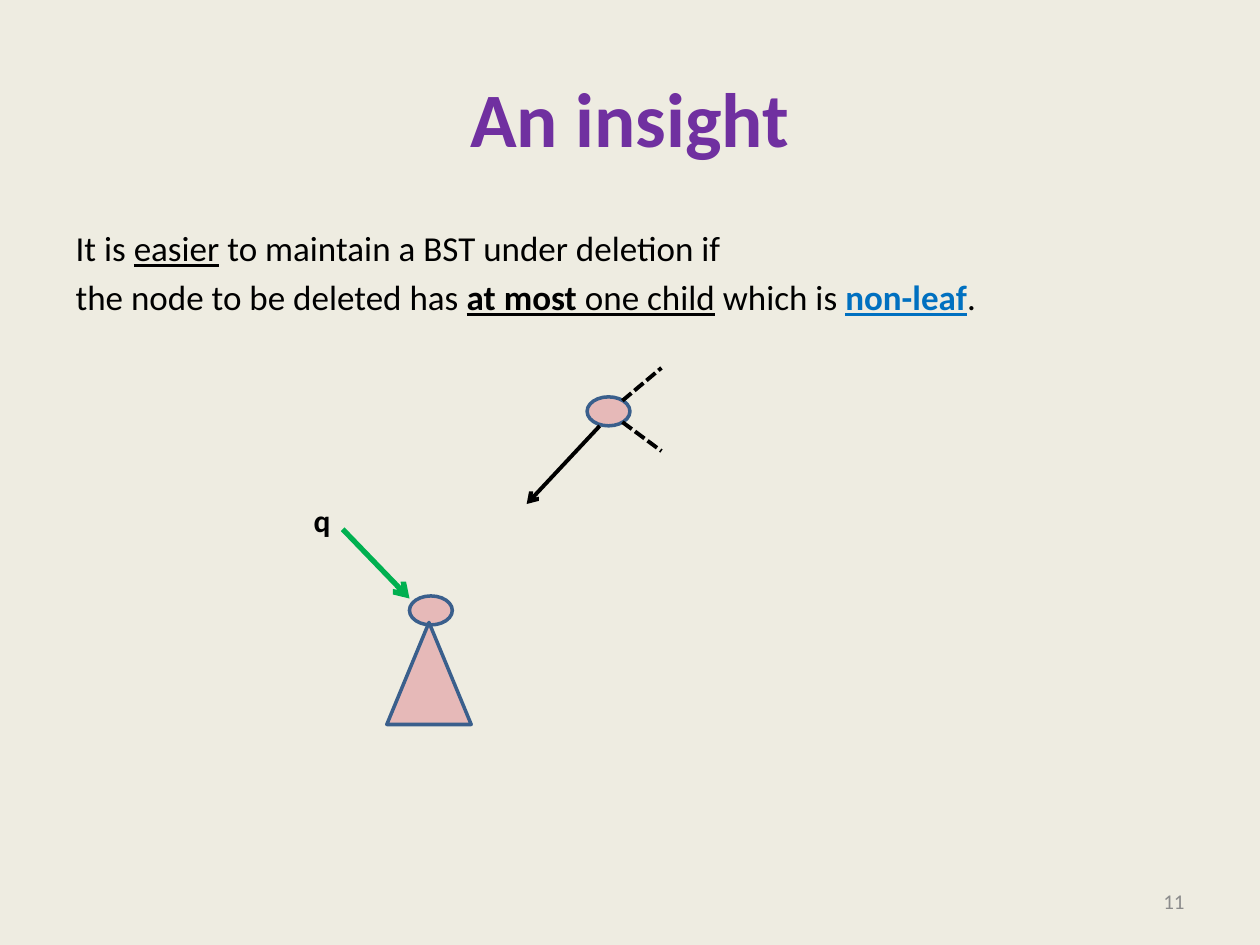
import pptx
import pptx.util
import pptx.dml.color
import pptx.enum.dml
import pptx.enum.shapes
import pptx.enum.text
import pptx.oxml.ns
from lxml import etree

Inches = pptx.util.Inches
Pt = pptx.util.Pt
Color = pptx.dml.color.RGBColor
Shape = pptx.enum.shapes.MSO_SHAPE
Align = pptx.enum.text.PP_ALIGN
Anchor = pptx.enum.text.MSO_ANCHOR

CREAM = Color(0xEE, 0xEC, 0xE1)
PURPLE = Color(0x70, 0x30, 0xA0)
BLACK = Color(0, 0, 0)
BLUE = Color(0x00, 0x70, 0xC0)
GRAY = Color(0x8C, 0x8C, 0x8C)
PINK = Color(0xE6, 0xB9, 0xB8)
NAVY = Color(0x3A, 0x5F, 0x8C)
GREEN = Color(0x00, 0xB0, 0x50)

FONT = "Calibri"
NODE = (Inches(0.34), Inches(0.23))
LINES = [
    [("It is ", ""), ("easier", "u"), (" to maintain a BST under deletion if", "")],
    [("the node to be deleted has ", ""), ("at most ", "bu"), ("one child", "u"),
     (" which is ", ""), ("non-leaf", "buc"), (".", "")],
]


def put(shape, box):
    """Move a shape to a box of left, top, width and height."""
    shape.left, shape.top, shape.width, shape.height = box


def style(para, size, color, bold=False, align=Align.LEFT):
    """Set the font and alignment of a paragraph."""
    font = para.font
    font.name, font.size, font.bold = FONT, Pt(size), bold
    font.color.rgb = color
    para.alignment = align


def label(shapes, box, text, size, color, bold=False, align=Align.LEFT, wrap=True):
    """Add a text box with one line of text."""
    frame = shapes.add_textbox(*box).text_frame
    frame.word_wrap = wrap
    frame.vertical_anchor = Anchor.MIDDLE if wrap else Anchor.TOP
    frame.text = text
    style(frame.paragraphs[0], size, color, bold, align)


def solid(shapes, kind, box):
    """Add a pink shape with a navy outline."""
    shape = shapes.add_shape(kind, *box)
    shape.shadow.inherit = False
    shape.fill.solid()
    shape.fill.fore_color.rgb = PINK
    shape.line.color.rgb = NAVY
    shape.line.width = Pt(2)


def link(shapes, start, end, color=BLACK, width=2.25, arrow=False):
    """Add a straight arrow, or a dashed line if it has no head."""
    line = shapes.add_connector(pptx.enum.shapes.MSO_CONNECTOR.STRAIGHT, *start, *end)
    line.line.color.rgb = color
    line.line.width = Pt(width)
    qn = pptx.oxml.ns.qn
    if arrow:
        etree.SubElement(line.line._get_or_add_ln(), qn("a:tailEnd"), type="arrow")
    else:
        line.line.dash_style = pptx.enum.dml.MSO_LINE.SQUARE_DOT
    etree.SubElement(line._element.spPr, qn("a:effectLst"))


def title(slide, box):
    """Fill the title placeholder."""
    shape = slide.shapes.title
    put(shape, box)
    shape.text_frame.text = "An insight"
    shape.text_frame.vertical_anchor = Anchor.MIDDLE
    style(shape.text_frame.paragraphs[0], 44, PURPLE, True, Align.CENTER)


def body(slide, box):
    """Fill the body placeholder with unbulleted lines."""
    shape = slide.placeholders[1]
    put(shape, box)
    frame = shape.text_frame
    for i, parts in enumerate(LINES):
        para = frame.add_paragraph() if i else frame.paragraphs[0]
        props = para._p.get_or_add_pPr()
        props.set("marL", "0")
        props.set("indent", "0")
        etree.SubElement(props, pptx.oxml.ns.qn("a:buNone"))
        para.space_before = Pt(4 if i else 0)
        style(para, 20, BLACK)
        for text, marks in parts:
            run = para.add_run()
            run.text = text
            if "b" in marks:
                run.font.bold = True
            if "u" in marks:
                run.font.underline = True
            if "c" in marks:
                run.font.color.rgb = BLUE


def parent(shapes, box):
    """Draw the upper node with its child arrow and dashed edges."""
    left, top, width, height = box

    def at(x, y):
        return left + Inches(x), top + Inches(y)

    solid(shapes, Shape.OVAL, (*at(0.48, 0.23), *NODE))
    link(shapes, at(0.58, 0.46), (left, top + height), arrow=True)
    link(shapes, at(0.76, 0.26), (left + width, top))
    link(shapes, at(0.76, 0.43), (left + width, top + Inches(0.66)))


def subtree(shapes, box):
    """Draw the node marked q with the subtree below it."""
    left, top, width, height = box

    def at(x, y):
        return left + Inches(x), top + Inches(y)

    group = shapes.add_group_shape().shapes
    link(group, at(0.33, 0.27), at(0.86, 0.82), GREEN, 3, True)
    label(group, (left, top, Inches(0.34), Inches(0.4)), "q", 18, BLACK, True, wrap=False)
    solid(group, Shape.OVAL, (*at(0.86, 0.8), *NODE))
    wide, tall = Inches(0.67), Inches(0.81)
    solid(group, Shape.ISOSCELES_TRIANGLE,
          (left + width - wide, top + height - tall, wide, tall))


def main():
    """Build the slide and save it."""
    deck = pptx.Presentation()
    deck.slide_width, deck.slide_height = Inches(10), Inches(7.5)
    slide = deck.slides.add_slide(deck.slide_layouts[1])
    slide.background.fill.solid()
    slide.background.fill.fore_color.rgb = CREAM
    title(slide, (Inches(0.5), Inches(0.3), Inches(9), Inches(1.25)))
    body(slide, (Inches(0.5), Inches(1.75), Inches(9), Inches(4.95)))
    label(slide.shapes, (Inches(7.17), Inches(6.95), Inches(2.33), Inches(0.4)),
          "11", 12, GRAY, align=Align.RIGHT)
    parent(slide.shapes, (Inches(4.18), Inches(2.92), Inches(1.07), Inches(1.08)))
    subtree(slide.shapes, (Inches(2.39), Inches(3.93), Inches(1.35), Inches(1.82)))
    deck.save("out.pptx")


if __name__ == "__main__":
    main()
